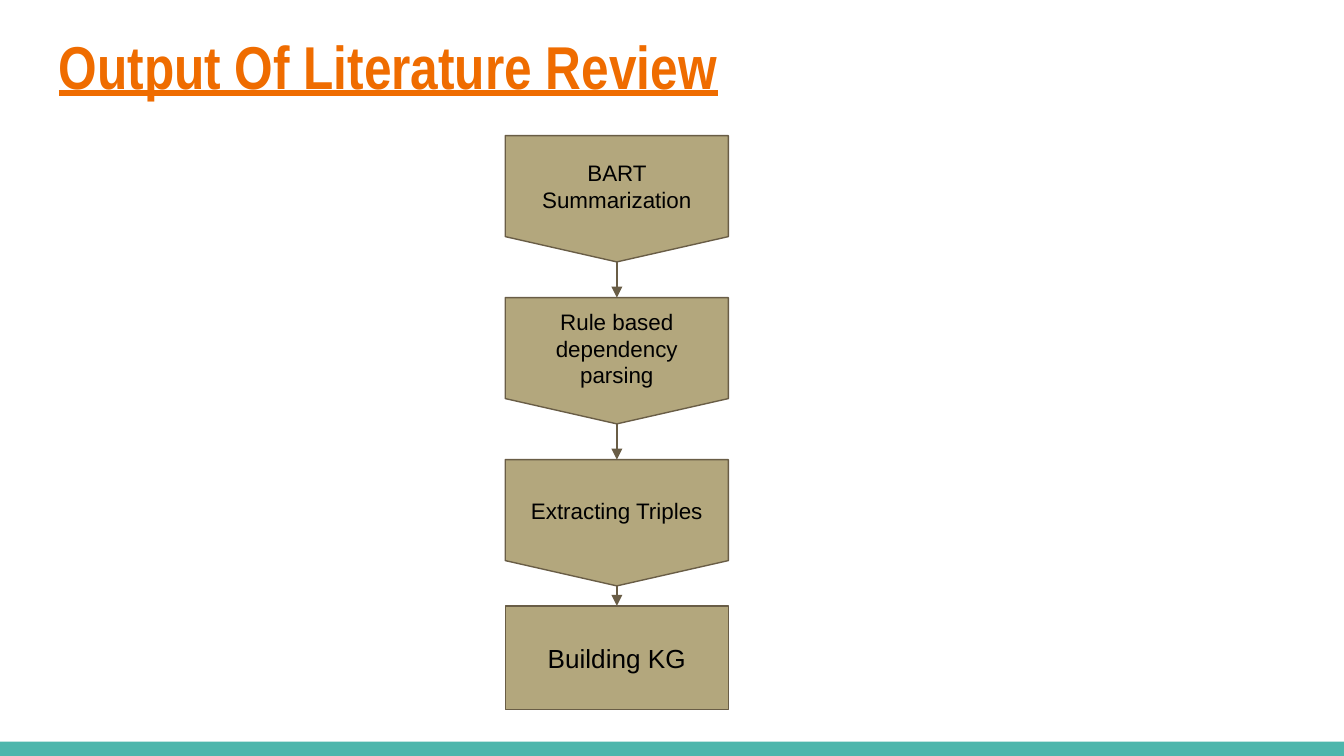
import pptx
import pptx.util
import pptx.dml.color
import pptx.enum.shapes
import pptx.enum.text
import pptx.oxml.ns
import lxml.etree

WIDTH, HEIGHT = pptx.util.Inches(10), pptx.util.Inches(5.625)
COL, ROW = WIDTH / 100, HEIGHT / 100
COLORS = {"title": "EF6C00", "bar": "4DB6AC", "box": "B3A77D", "edge": "695D46", "text": "000000"}
SHAPE = pptx.enum.shapes.MSO_SHAPE
ALIGN = pptx.enum.text.PP_ALIGN
STEPS = ["BART Summarization", "Rule based dependency parsing", "Extracting Triples"]
BOX_LEFT, BOX_WIDTH = 37.6, 16.6
STEP_TOP, STEP_HEIGHT, STEP_PITCH = 17.95, 16.7, 21.43
LAST_TOP, LAST_HEIGHT = 80.15, 13.75


def rgb(name):
    """Return the named colour."""
    return pptx.dml.color.RGBColor.from_string(COLORS[name])


def place(left, top, width, height):
    """Turn columns and rows into slide lengths."""
    return [round(v) for v in (left * COL, top * ROW, width * COL, height * ROW)]


def write(s, text, size, color="text", font="Arial", align=ALIGN.CENTER, bold=False, underline=False):
    """Write one formatted paragraph, centred vertically, in a shape."""
    tf = s.text_frame
    tf.word_wrap = True
    tf.vertical_anchor = pptx.enum.text.MSO_ANCHOR.MIDDLE
    tf.margin_left = tf.margin_right = tf.margin_top = tf.margin_bottom = pptx.util.Inches(0.1)
    p = tf.paragraphs[0]
    p.alignment = align
    r = p.add_run()
    r.text = text
    r.font.size = pptx.util.Pt(size)
    r.font.name = font
    r.font.bold = bold
    r.font.underline = underline
    r.font.color.rgb = rgb(color)


def add_box(slide, kind, area, fill, edge=None):
    """Add a flat filled shape with an optional outline."""
    s = slide.shapes.add_shape(kind, *place(*area))
    s.shadow.inherit = False
    s.fill.solid()
    s.fill.fore_color.rgb = rgb(fill)
    if edge:
        s.line.color.rgb = rgb(edge)
        s.line.width = pptx.util.Pt(0.75)
    else:
        s.line.fill.background()
    return s


def add_arrow(slide, start, end):
    """Link the bottom of one box to the top of the next."""
    kind = pptx.enum.shapes.MSO_CONNECTOR.STRAIGHT
    s = slide.shapes.add_connector(kind, 0, 0, 0, 0)
    s.begin_connect(start, 2)
    s.end_connect(end, 0)
    s.line.color.rgb = rgb("edge")
    s.line.width = pptx.util.Pt(0.75)
    qn = pptx.oxml.ns.qn
    lxml.etree.SubElement(s.line._get_or_add_ln(), qn("a:tailEnd"), type="triangle")
    lxml.etree.SubElement(s._element.spPr, qn("a:effectLst"))


def add_flow(slide):
    """Stack the process steps and link them with arrows."""
    boxes = []
    for i, text in enumerate(STEPS):
        area = (BOX_LEFT, STEP_TOP + i * STEP_PITCH, BOX_WIDTH, STEP_HEIGHT)
        s = add_box(slide, SHAPE.FLOWCHART_OFFPAGE_CONNECTOR, area, "box", "edge")
        write(s, text, 12)
        boxes.append(s)
    area = (BOX_LEFT, LAST_TOP, BOX_WIDTH, LAST_HEIGHT)
    s = add_box(slide, SHAPE.RECTANGLE, area, "box", "edge")
    write(s, "Building KG", 14)
    boxes.append(s)
    for start, end in zip(boxes, boxes[1:]):
        add_arrow(slide, start, end)


def main():
    """Build and save the slide."""
    prs = pptx.Presentation()
    prs.slide_width, prs.slide_height = WIDTH, HEIGHT
    slide = prs.slides.add_slide(prs.slide_layouts[6])
    add_box(slide, SHAPE.RECTANGLE, (0, 98.1, 100, 1.9), "bar")
    title = slide.shapes.add_textbox(*place(3.4, 1.8, 93.2, 13.7))
    write(title, "Output Of Literature Review", 32.4, color="title", font="Arial Narrow",
          align=ALIGN.LEFT, bold=True, underline=True)
    add_flow(slide)
    prs.save("out.pptx")


if __name__ == "__main__":
    main()
